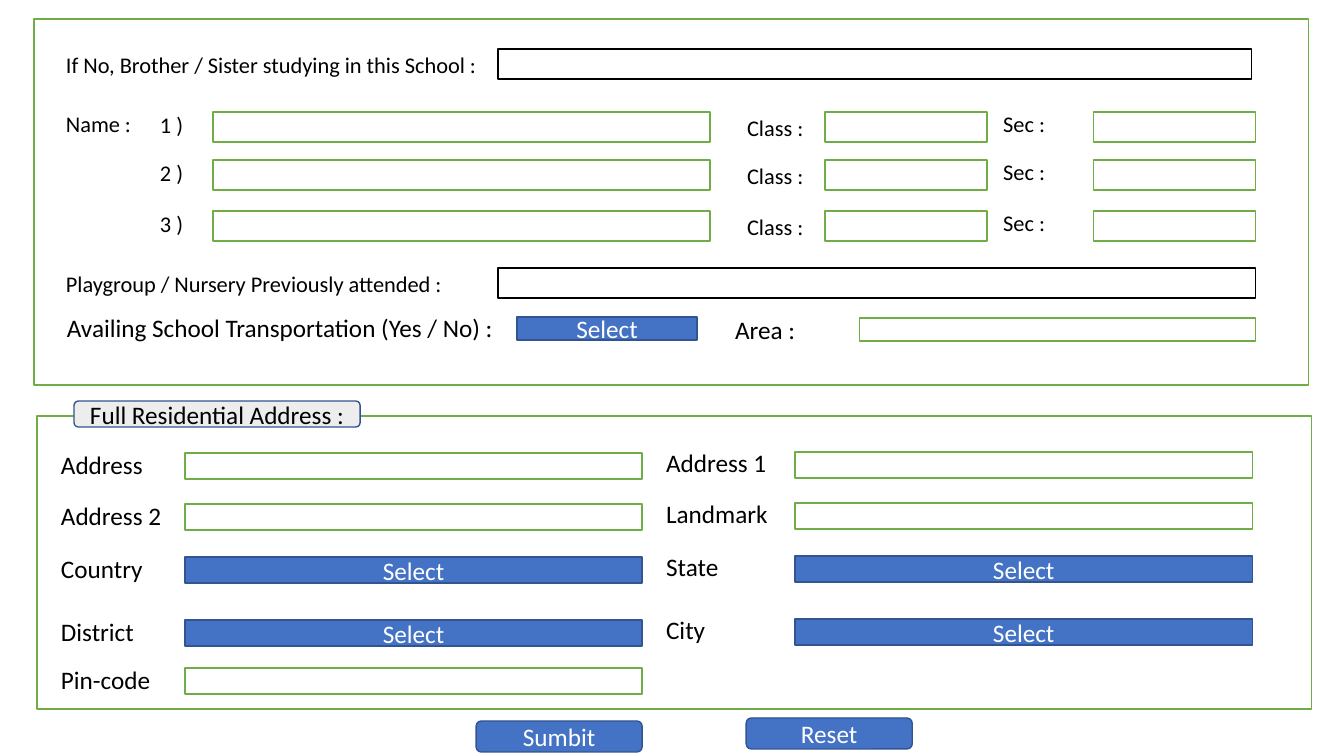
from pptx import Presentation
from pptx.dml.color import RGBColor
from pptx.enum.shapes import MSO_SHAPE
from pptx.enum.text import MSO_ANCHOR, MSO_AUTO_SIZE, PP_ALIGN
from pptx.util import Inches, Pt

RECT, ROUND = MSO_SHAPE.RECTANGLE, MSO_SHAPE.ROUNDED_RECTANGLE
CENTER, MIDDLE = PP_ALIGN.CENTER, MSO_ANCHOR.MIDDLE
GROW = MSO_AUTO_SIZE.SHAPE_TO_FIT_TEXT
PX = 914400 / 100.8
FONT = "Calibri"
COLORS = {"white": "FFFFFF", "black": "000000", "green": "70AD47",
          "blue": "4472C4", "navy": "325491", "gray": "EDEDED"}

# Kind of box: shape, fill, line, text colour
STYLES = {
    "field": (RECT, "white", "green", "black"),
    "dark": (RECT, "white", "black", "black"),
    "select": (RECT, "blue", "navy", "white"),
    "button": (ROUND, "blue", "navy", "white"),
    "heading": (ROUND, "gray", "navy", "black"),
}

# Sibling rows: number and top of the boxes
SIBLINGS = [("1 )", 112), ("2 )", 160), ("3 )", 211)]
# Label (or None for the number), label left, width, rise; box left, width
SIBLING_COLS = [
    (None, 150, 52, 6, 213, 497),
    ("Class :", 737, 94, 3, 825, 162),
    ("Sec :", 993, 94, 7, 1093, 162),
]

# Address rows: top, kind, labels from left to right
ADDRESS = [
    (453, "field", ("Address", "Address 1")),
    (504, "field", ("Address 2", "Landmark")),
    (557, "select", ("Country", "State")),
    (620, "select", ("District", "City")),
    (668, "field", ("Pin-code",)),
]
# Label left, box left, shift of the box, rise of the label
ADDRESS_COLS = [(51, 185, 0, 9), (656, 795, -1, 10)]

# Single lines: text, size, left, top, width, height
LABELS = [
    ("If No, Brother / Sister studying in this School :", 16, 56, 46, 436, 37),
    ("Name :", 16, 56, 105, 94, 37),
    ("Playgroup / Nursery Previously attended :", 16, 56, 265, 414, 37),
    ("Availing School Transportation (Yes / No) :", 18, 57, 307, 472, 40),
    ("Area :", 18, 725, 309, 89, 40),
]
# Single boxes: kind, text, left, top, width, height
PANELS = [
    ("field", "", 34, 19, 1274, 366),
    ("field", "", 37, 416, 1274, 293),
]
BOXES = [
    ("dark", "", 498, 49, 753, 30),
    ("dark", "", 498, 268, 757, 30),
    ("select", "Select", 517, 317, 180, 23),
    ("field", "", 859, 318, 396, 23),
    ("heading", "Full Residential Address :", 74, 401, 286, 26),
    ("button", "Sumbit", 476, 721, 166, 31),
    ("button", "Reset", 746, 718, 166, 31),
]

deck = Presentation()
deck.slide_width, deck.slide_height = Inches(13.33), Inches(7.5)
slide = deck.slides.add_slide(deck.slide_layouts[6])


def emu(*lengths):
    return [round(n * PX) for n in lengths]


def rgb(name):
    return RGBColor.from_string(COLORS[name])


def write(frame, text, size, color):
    para = frame.paragraphs[0]
    run = para.add_run()
    run.text = text
    for key, value in {"name": FONT, "size": Pt(size)}.items():
        setattr(run.font, key, value)
    run.font.color.rgb = rgb(color)
    return para


def add_label(text, size, *place):
    frame = slide.shapes.add_textbox(*emu(*place)).text_frame
    for key, value in {"word_wrap": True, "auto_size": GROW}.items():
        setattr(frame, key, value)
    write(frame, text, size, "black")


def add_box(kind, text, *place):
    form, fill, line, color = STYLES[kind]
    box = slide.shapes.add_shape(form, *emu(*place))
    box.shadow.inherit = False
    box.fill.solid()
    box.fill.fore_color.rgb = rgb(fill)
    box.line.color.rgb = rgb(line)
    box.line.width = Pt(1)
    if text:
        box.text_frame.vertical_anchor = MIDDLE
        write(box.text_frame, text, 18, color).alignment = CENTER


for panel in PANELS:
    add_box(*panel)
for label in LABELS:
    add_label(*label)
for box in BOXES:
    add_box(*box)

for number, top in SIBLINGS:
    for text, left, width, rise, box_left, box_width in SIBLING_COLS:
        add_label(text or number, 16, left, top - rise, width, 37)
        add_box("field", "", box_left, top, box_width, 30)

for top, kind, names in ADDRESS:
    prompt = "Select" if kind == "select" else ""
    for name, (left, box_left, shift, rise) in zip(names, ADDRESS_COLS):
        add_label(name, 18, left, top + shift - rise, 139, 40)
        add_box(kind, prompt, box_left, top + shift, 457, 26)

deck.save("out.pptx")
